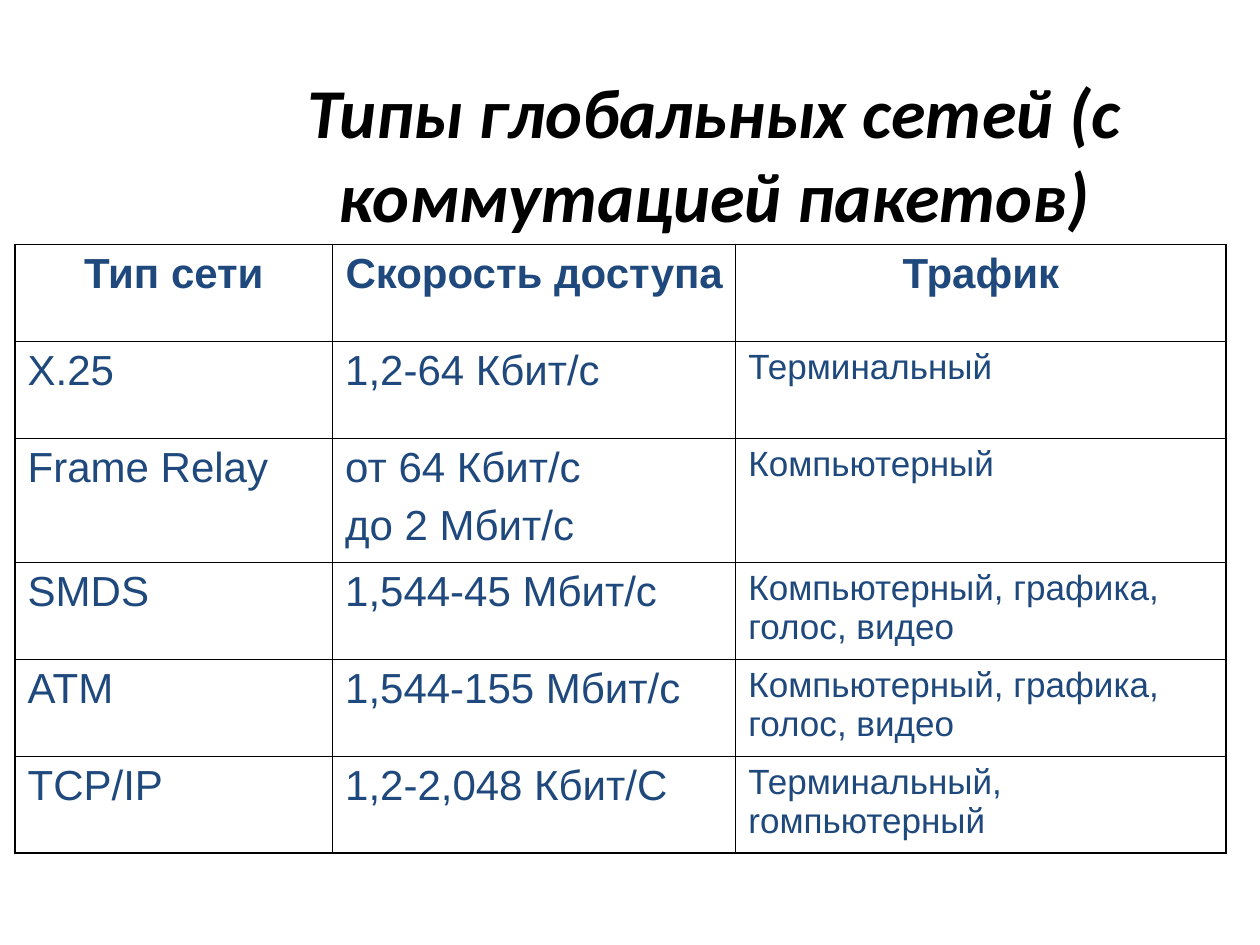
from lxml import etree
from pptx import Presentation
from pptx.dml.color import RGBColor
from pptx.enum.text import MSO_ANCHOR, PP_ALIGN
from pptx.oxml.ns import qn
from pptx.util import Inches, Pt

CENTER, LEFT = PP_ALIGN.CENTER, PP_ALIGN.LEFT
MIDDLE = MSO_ANCHOR.MIDDLE
COLORS = {"title": "000000", "text": "1F497D", "border": "000000"}
OUTER, INNER = Pt(1.08), Pt(0.45)
COL_WIDTHS = [2.52, 3.2, 3.89]
ROW_HEIGHTS = [0.77, 0.77, 0.98, 0.77, 0.77, 0.77]
ROWS = [
    ["Тип сети", "Скорость доступа", "Трафик"],
    ["Х.25", "1,2-64 Кбит/с", "Терминальный"],
    ["Frame Relay", "от 64 Кбит/с\nдо 2 Мбит/с", "Компьютерный"],
    ["SMDS", "1,544-45 Мбит/с", "Компьютерный, графика, голос, видео"],
    ["ATM", "1,544-155 Мбит/с", "Компьютерный, графика, голос, видео"],
    ["TCP/IP", "1,2-2,048 Кбит/С", "Терминальный, rомпьютерный"],
]


def style_text(tf, font, size, color, align, bold=False, italic=False):
    """Format every paragraph of a text frame alike."""
    for i, p in enumerate(tf.paragraphs):
        p.alignment = align
        if i:
            p.space_before = Pt(6)
        for r in p.runs:
            r.font.name = font
            r.font.size = Pt(size)
            r.font.bold = bold
            r.font.italic = italic
            r.font.color.rgb = RGBColor.from_string(COLORS[color])


def set_border(cell, side, width):
    """Draw one solid edge of a table cell."""
    ln = etree.SubElement(cell._tc.get_or_add_tcPr(), qn(f"a:ln{side}"), w=str(width))
    fill = etree.SubElement(ln, qn("a:solidFill"))
    etree.SubElement(fill, qn("a:srgbClr"), val=COLORS["border"])


def add_title(slide, left, top, width, height):
    """Place the slide title in the given box."""
    sp = slide.shapes.add_textbox(left, top, width, height)
    tf = sp.text_frame
    tf.word_wrap = True
    tf.vertical_anchor = MIDDLE
    tf.text = "Типы глобальных сетей (с коммутацией пакетов)"
    style_text(tf, "Calibri", 40, "title", CENTER, bold=True, italic=True)


def add_network_table(slide, left, top, width, height):
    """Place the table of network types in the given box."""
    last_row, last_col = len(ROWS) - 1, len(COL_WIDTHS) - 1
    table = slide.shapes.add_table(
        len(ROWS), len(COL_WIDTHS), left, top, width, height).table
    table.first_row = table.horz_banding = False
    for col, w in zip(table.columns, COL_WIDTHS):
        col.width = Inches(w)
    for row, h in zip(table.rows, ROW_HEIGHTS):
        row.height = Inches(h)
    for i, texts in enumerate(ROWS):
        header = i == 0
        for j, text in enumerate(texts):
            cell = table.cell(i, j)
            cell.text_frame.text = text
            size = 20 if j == last_col and not header else 24
            style_text(cell.text_frame, "Arial", size, "text",
                       CENTER if header else LEFT, bold=header)
            edges = {"L": j == 0, "R": j == last_col, "T": header, "B": i == last_row}
            for side, outer in edges.items():
                set_border(cell, side, OUTER if outer else INNER)
            cell.fill.background()


def main():
    """Build the slide and save it."""
    prs = Presentation()
    prs.slide_width, prs.slide_height = Inches(10), Inches(7.5)
    slide = prs.slides.add_slide(prs.slide_layouts[6])
    add_title(slide, Inches(1.83), Inches(0.5), Inches(7.67), Inches(1.42))
    add_network_table(slide, Inches(0.12), Inches(1.94),
                      Inches(sum(COL_WIDTHS)), Inches(sum(ROW_HEIGHTS)))
    prs.save("out.pptx")


if __name__ == "__main__":
    main()
